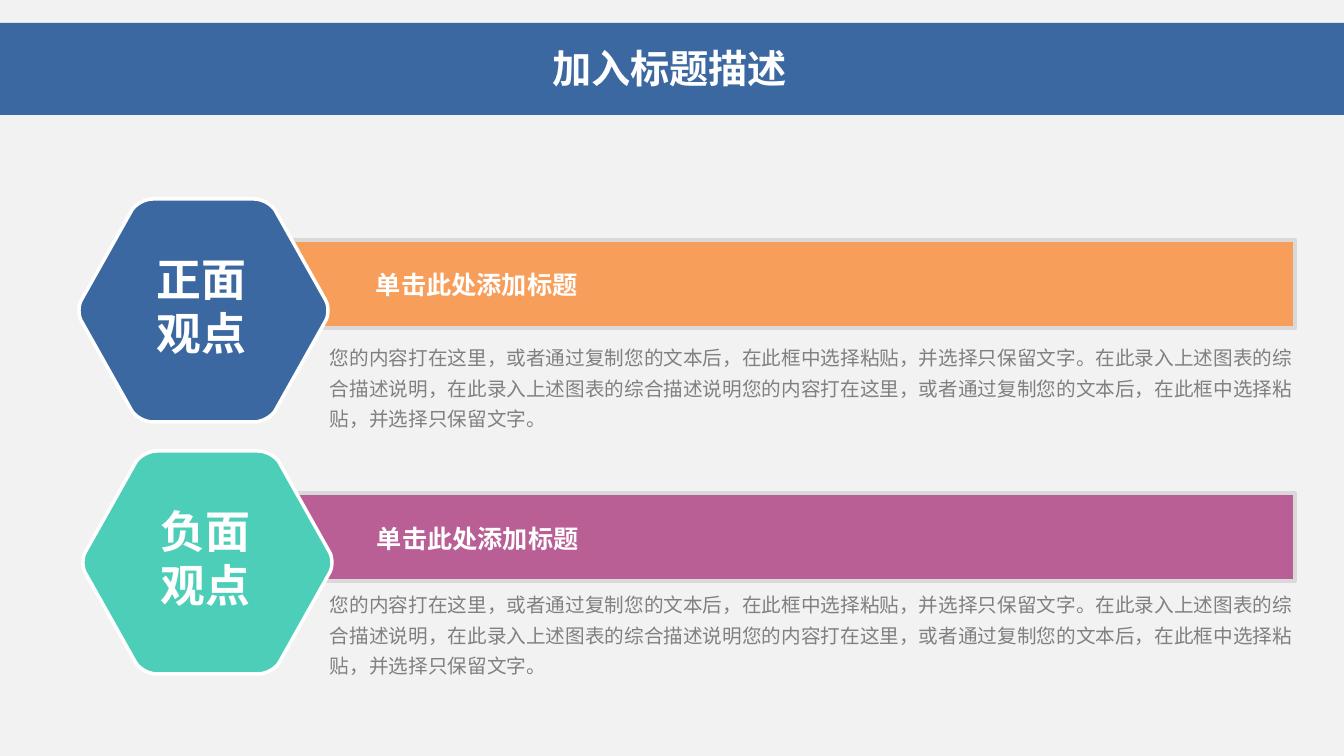
from lxml import etree
from pptx import Presentation, util as u
from pptx.dml.color import RGBColor
from pptx.enum import shapes, text
from pptx.oxml import ns

PX = 914400 / 100.8
WHITE = RGBColor(0xFF, 0xFF, 0xFF)
PAPER = RGBColor(0xF2, 0xF2, 0xF2)
EDGE = RGBColor(0xD9, 0xD9, 0xD9)
GREY = RGBColor(0x80, 0x80, 0x80)
BLUE = RGBColor(0x3B, 0x68, 0xA1)
ORANGE = RGBColor(0xF7, 0x9E, 0x5A)
PLUM = RGBColor(0xB9, 0x5F, 0x95)
MINT = RGBColor(0x4D, 0xCE, 0xB8)

CJK = "Noto Sans CJK SC"
TITLE = {"size": u.Pt(28), "bold": True, "name": CJK}
HEADING = {"size": u.Pt(18), "bold": True, "name": CJK}
BODY = {"size": u.Pt(14), "bold": False, "name": CJK}
CAPTION = {"size": u.Pt(32), "bold": True, "name": "League Spartan"}
TIGHT, ROOMY = (7, 4), (10, 5)

HEXAGON_WIDTH = 251
LEFT_CORNERS = [
    [(75, 223), (67, 223), (58, 218), (54, 212)],
    [(4, 123), (0, 117), (0, 106), (4, 100)],
    [(54, 11), (58, 5), (67, 0), (75, 0)],
]
DETAIL = (
    "您的内容打在这里，或者通过复制您的文本后，在此框中选择粘贴，并选择只保留文字。"
    "在此录入上述图表的综合描述说明，在此录入上述图表的综合描述说明"
    "您的内容打在这里，或者通过复制您的文本后，在此框中选择粘贴，并选择只保留文字。"
)
VIEWS = [
    {"box": (78, 199), "caption": ["正面", "观点"], "hexagon": BLUE, "bar": ORANGE,
     "bar_at": (232, 240), "heading_at": (366, 264), "detail_at": (323, 335)},
    {"box": (82, 451), "caption": ["负面", "观点"], "hexagon": MINT, "bar": PLUM,
     "bar_at": (232, 493), "heading_at": (367, 518), "detail_at": (323, 582)},
]


def px(*lengths):
    """Turn pixel lengths into EMU."""
    return [u.Emu(round(length * PX)) for length in lengths]


def paint(shape, fill, edge=None):
    """Give a shape a flat fill and an optional outline."""
    shape.shadow.inherit = False
    shape.fill.solid()
    shape.fill.fore_color.rgb = fill
    if edge is None:
        shape.line.fill.background()
    else:
        shape.line.color.rgb = edge
        shape.line.width = u.Pt(2.5)


def write(slide, box, lines, style, color, insets=TIGHT, align=None, spacing=None):
    """Add a wrapped text box with one paragraph per line."""
    frame = slide.shapes.add_textbox(*px(*box)).text_frame
    side, end = px(*insets)
    layout = {"word_wrap": True, "auto_size": text.MSO_AUTO_SIZE.SHAPE_TO_FIT_TEXT,
              "margin_left": side, "margin_right": side,
              "margin_top": end, "margin_bottom": end}
    for key, value in layout.items():
        setattr(frame, key, value)
    frame.text = "\n".join(lines)
    for paragraph in frame.paragraphs:
        paragraph.alignment = align
        paragraph.line_spacing = spacing
        for run in paragraph.runs:
            for key, value in style.items():
                setattr(run.font, key, value)
            run.font.color.rgb = color
            east_asian = etree.SubElement(run.font._element, ns.qn("a:ea"))
            east_asian.set("typeface", CJK)


def bend(corner, steps=8):
    """Return points along the cubic curve of one corner."""
    points = []
    for step in range(steps + 1):
        t = step / steps
        weights = ((1 - t) ** 3, 3 * t * (1 - t) ** 2, 3 * t * t * (1 - t), t ** 3)
        points.append(tuple(sum(w * p[axis] for w, p in zip(weights, corner))
                            for axis in (0, 1)))
    return points


def add_hexagon(slide, left, top, fill):
    """Draw a hexagon with rounded corners."""
    half = [point for corner in LEFT_CORNERS for point in bend(corner)]
    mirrored = [(HEXAGON_WIDTH - x, y) for x, y in reversed(half)]
    outline = [px(left + x, top + y) for x, y in half + mirrored]
    builder = slide.shapes.build_freeform(*outline[0])
    builder.add_line_segments(outline[1:], close=True)
    paint(builder.convert_to_shape(), fill, WHITE)


def add_title(slide, left, top, width, height):
    """Place the title band and its centred title."""
    band = slide.shapes.add_shape(shapes.MSO_SHAPE.RECTANGLE, *px(left, top, width, height))
    paint(band, BLUE)
    write(slide, (left - 76, top + 17, width + 147, 65), ["加入标题描述"],
          TITLE, WHITE, align=text.PP_ALIGN.CENTER)


def add_view(slide, view):
    """Place one viewpoint: bar, heading, detail and captioned hexagon."""
    left, top = view["box"]
    bar = slide.shapes.add_shape(shapes.MSO_SHAPE.ROUNDED_RECTANGLE,
                                 *px(*view["bar_at"], 1063, 88))
    bar.adjustments[0] = 0
    paint(bar, view["bar"], EDGE)
    write(slide, (*view["heading_at"], 781, 40), ["单击此处添加标题"],
          HEADING, WHITE, insets=ROOMY)
    write(slide, (*view["detail_at"], 983, 100), [DETAIL], BODY, GREY, spacing=1.3)
    add_hexagon(slide, left, top, view["hexagon"])
    write(slide, (left + 36, top + 49, 175, 116), view["caption"],
          CAPTION, WHITE, align=text.PP_ALIGN.CENTER)


def main():
    """Build and save the slide."""
    deck = Presentation()
    deck.slide_width, deck.slide_height = px(1344, 756)
    slide = deck.slides.add_slide(deck.slide_layouts[6])
    slide.background.fill.solid()
    slide.background.fill.fore_color.rgb = PAPER
    add_title(slide, 0, 23, 1344, 92)
    for view in VIEWS:
        add_view(slide, view)
    deck.save("out.pptx")


if __name__ == "__main__":
    main()
